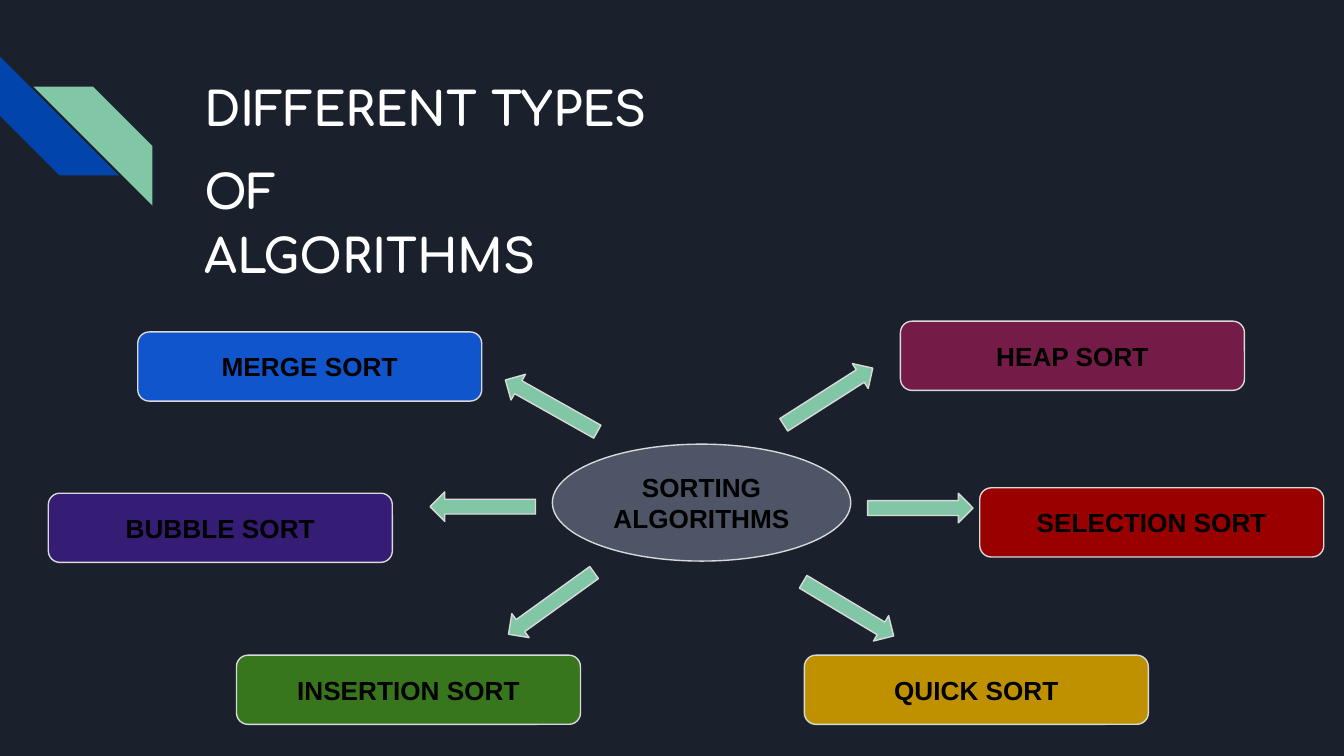
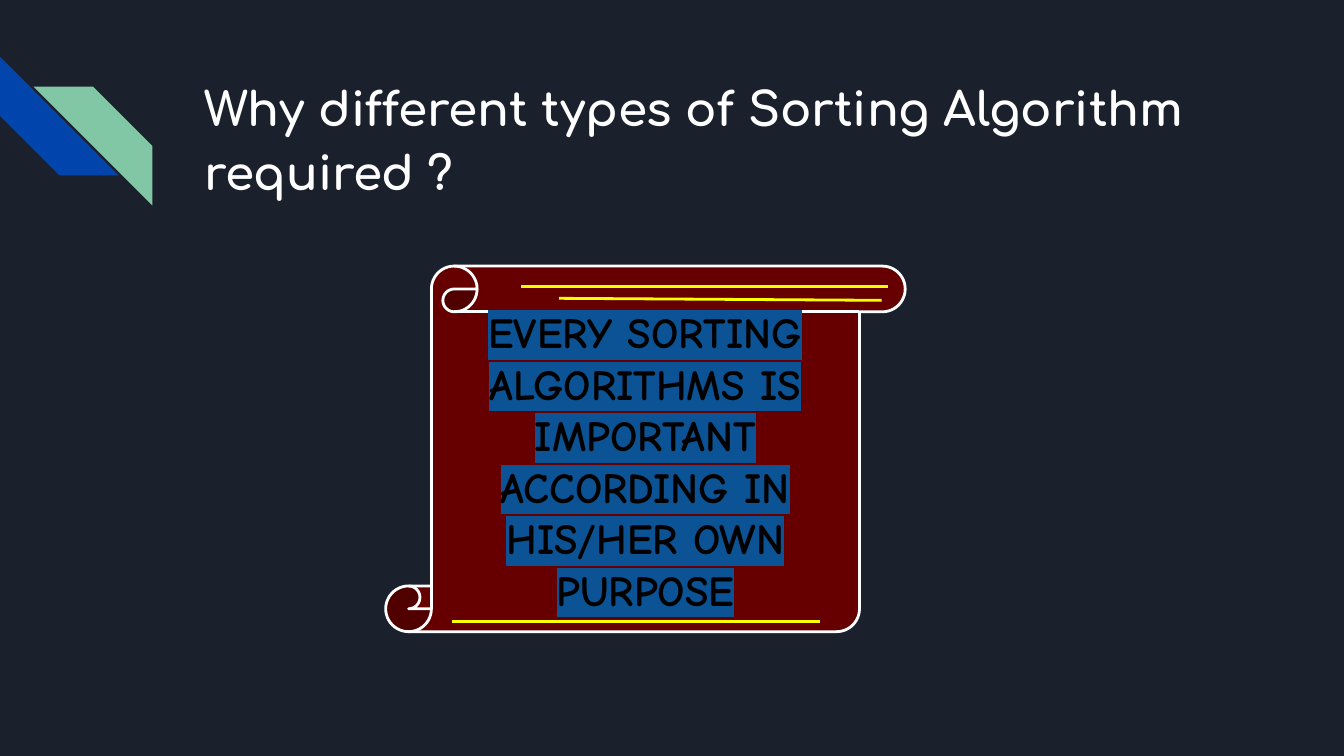
from typing import NamedTuple

from lxml import etree
from pptx import Presentation
from pptx.dml.color import RGBColor
from pptx.enum.shapes import MSO_CONNECTOR, MSO_SHAPE
from pptx.enum.text import MSO_ANCHOR, MSO_AUTO_SIZE, PP_ALIGN
from pptx.oxml.ns import qn
from pptx.shapes.autoshape import Shape
from pptx.slide import Slide
from pptx.text.text import TextFrame
from pptx.util import Emu, Pt

STRIPE = MSO_SHAPE.DIAGONAL_STRIPE
ROUNDED = MSO_SHAPE.ROUNDED_RECTANGLE
ELLIPSE = MSO_SHAPE.OVAL
ARROW = MSO_SHAPE.LEFT_ARROW
SCROLL = MSO_SHAPE.VERTICAL_SCROLL
STRAIGHT = MSO_CONNECTOR.STRAIGHT
TOP, MIDDLE = MSO_ANCHOR.TOP, MSO_ANCHOR.MIDDLE
LEFT, CENTER = PP_ALIGN.LEFT, PP_ALIGN.CENTER
NO_AUTOFIT = MSO_AUTO_SIZE.NONE

PX = 4572  # 200 px to the inch
INSET = 20
TITLE_ONLY = 5

COLORS = {
    "background": "1B212C",
    "white": "FFFFFF",
    "black": "000000",
    "outline": "D9D9D9",
    "blue": "0145AC",
    "mint": "82C7A5",
    "hub": "4E5567",
    "merge": "1155CC",
    "bubble": "351C75",
    "insertion": "38761D",
    "selection": "990000",
    "heap": "741B47",
    "quick": "BF9000",
    "scroll": "660000",
    "highlight": "0B5394",
    "rule": "FFFF00",
}


class Box(NamedTuple):
    left: int
    top: int
    width: int
    height: int


class TextStyle(NamedTuple):
    font: str
    size: int
    color: str
    highlight: str = ""


class SortBox(NamedTuple):
    label: str
    color: str
    left: int
    top: int


class Arrow(NamedTuple):
    left: int
    top: int
    rotation: float


class Rule(NamedTuple):
    x1: int
    y1: int
    x2: int
    y2: int


TITLE_BOX = Box(284, 86, 1540, 200)
TITLE_STYLE = TextStyle("Comfortaa", 25, "white")
LABEL_STYLE = TextStyle("Arial", 14, "black")
SCROLL_STYLE = TextStyle("Comic Neue", 23, "black", "highlight")

HUB_BOX = Box(822, 661, 444, 174)
SORT_SIZE = (512, 103)
SORT_BOXES = [
    SortBox("MERGE SORT", "merge", 205, 494),
    SortBox("BUBBLE SORT", "bubble", 72, 734),
    SortBox("INSERTION SORT", "insertion", 352, 975),
    SortBox("SELECTION SORT", "selection", 1458, 726),
    SortBox("HEAP SORT", "heap", 1340, 478),
    SortBox("QUICK SORT", "quick", 1197, 975),
]
ARROW_SIZE = (157, 44)
ARROWS = [
    Arrow(640, 732, 0),
    Arrow(742, 582, 29.4),
    Arrow(1154, 568, 147.5),
    Arrow(742, 876, 324.2),
    Arrow(1291, 734, 180),
    Arrow(1184, 884, 210.9),
]

SCROLL_BOX = Box(574, 396, 773, 544)
RULES = [
    Rule(776, 426, 1322, 426),
    Rule(832, 444, 1312, 447),
    Rule(673, 925, 1220, 925),
]


def px(value: int) -> Emu:
    return Emu(value * PX)


def rgb(name: str) -> RGBColor:
    return RGBColor.from_string(COLORS[name])


def set_frame(frame: TextFrame, anchor: MSO_ANCHOR) -> None:
    frame.word_wrap = True
    frame.auto_size = NO_AUTOFIT
    frame.vertical_anchor = anchor
    frame.margin_left = frame.margin_right = px(INSET)
    frame.margin_top = frame.margin_bottom = px(INSET)


def write_lines(frame: TextFrame, lines: list[str], style: TextStyle, align: PP_ALIGN) -> None:
    """Write one bold paragraph per line."""
    for index, line in enumerate(lines):
        para = frame.add_paragraph() if index else frame.paragraphs[0]
        para.alignment = align
        span = para.add_run()
        span.text = line
        span.font.size = Pt(style.size)
        span.font.bold = True
        span.font.color.rgb = rgb(style.color)
        span.font.name = style.font
        if style.highlight:
            latin = span.font._element.find(qn("a:latin"))
            marker = etree.Element(qn("a:highlight"))
            etree.SubElement(marker, qn("a:srgbClr"), val=COLORS[style.highlight])
            latin.addprevious(marker)


def add_figure(
    slide: Slide, kind: MSO_SHAPE, box: Box, fill: str, outline: str = "", width: float = 0.75
) -> Shape:
    """Add a flat preset shape; without an outline name it has no line."""
    shape = slide.shapes.add_shape(kind, *map(px, box))
    shape.shadow.inherit = False
    shape.fill.solid()
    shape.fill.fore_color.rgb = rgb(fill)
    if outline:
        shape.line.color.rgb = rgb(outline)
        shape.line.width = Pt(width)
    else:
        shape.line.fill.background()
    return shape


def add_label(shape: Shape, text: str, style: TextStyle) -> None:
    set_frame(shape.text_frame, MIDDLE)
    write_lines(shape.text_frame, [text], style, CENTER)


def add_rule(slide: Slide, rule: Rule) -> None:
    line = slide.shapes.add_connector(STRAIGHT, *map(px, rule))
    line.line.color.rgb = rgb("rule")
    line.line.width = Pt(1.5)
    etree.SubElement(line._element.spPr, qn("a:effectLst"))


def add_titled_slide(deck: Presentation, lines: list[str]) -> Slide:
    """Add a slide with the corner stripes and a title."""
    slide = deck.slides.add_slide(deck.slide_layouts[TITLE_ONLY])
    add_figure(slide, STRIPE, Box(0, 84, 177, 177), "blue").rotation = 270
    mint = add_figure(slide, STRIPE, Box(50, 129, 177, 177), "mint")
    mint._element.spPr.find(qn("a:xfrm")).set("flipH", "1")

    title = slide.shapes.title
    title.left, title.top, title.width, title.height = map(px, TITLE_BOX)
    set_frame(title.text_frame, TOP)
    write_lines(title.text_frame, lines, TITLE_STYLE, LEFT)
    for para in title.text_frame.paragraphs:
        para.line_spacing = 1.15
    return slide


def build_types_slide(deck: Presentation) -> None:
    slide = add_titled_slide(deck, ["DIFFERENT TYPES", "OF", "ALGORITHMS"])
    slide.shapes.title.text_frame.paragraphs[1].space_before = Pt(10)
    hub = add_figure(slide, ELLIPSE, HUB_BOX, "hub", "outline")
    add_label(hub, "SORTING ALGORITHMS", LABEL_STYLE)
    for sort in SORT_BOXES:
        box = Box(sort.left, sort.top, *SORT_SIZE)
        shape = add_figure(slide, ROUNDED, box, sort.color, "outline")
        add_label(shape, sort.label, LABEL_STYLE)
    for arrow in ARROWS:
        box = Box(arrow.left, arrow.top, *ARROW_SIZE)
        add_figure(slide, ARROW, box, "mint", "outline").rotation = arrow.rotation


def build_reason_slide(deck: Presentation) -> None:
    slide = add_titled_slide(deck, ["Why different types of Sorting Algorithm required ?"])
    scroll = add_figure(slide, SCROLL, SCROLL_BOX, "scroll", "white", 1.5)
    add_label(
        scroll,
        "EVERY SORTING ALGORITHMS IS IMPORTANT ACCORDING IN HIS/HER OWN PURPOSE",
        SCROLL_STYLE,
    )
    for rule in RULES:
        add_rule(slide, rule)


def main() -> None:
    deck = Presentation()
    deck.slide_width, deck.slide_height = px(2000), px(1125)
    background = deck.slide_master.background.fill
    background.solid()
    background.fore_color.rgb = rgb("background")
    build_types_slide(deck)
    build_reason_slide(deck)
    deck.save("out.pptx")


if __name__ == "__main__":
    main()
